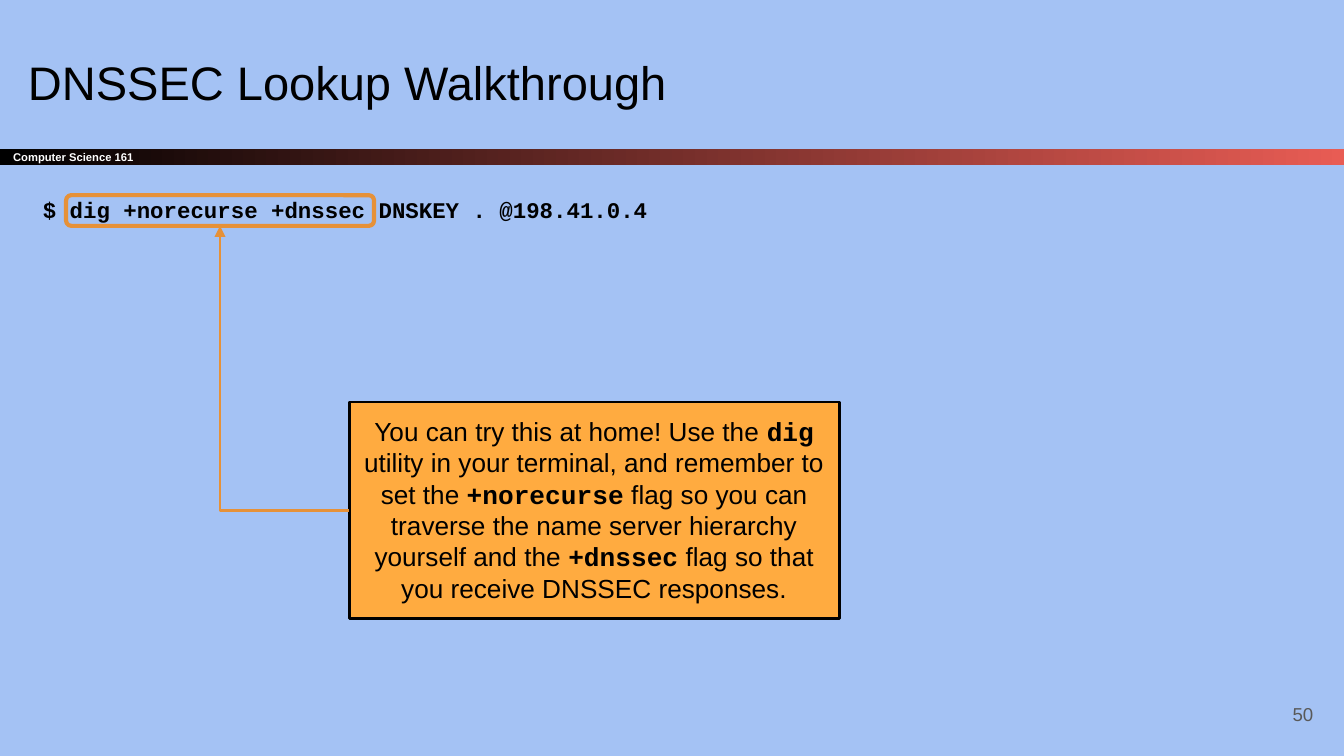
from lxml.etree import SubElement
from pptx import Presentation
from pptx.dml.color import RGBColor
from pptx.enum.shapes import MSO_CONNECTOR, MSO_SHAPE
from pptx.enum.text import MSO_ANCHOR, PP_ALIGN
from pptx.oxml.ns import qn
from pptx.util import Cm, Pt

COLORS = {
    "background": "A4C2F4",
    "black": "000000",
    "white": "FFFFFF",
    "red": "E85C54",
    "gray": "595959",
    "amber": "FFAB40",
    "orange": "E69138",
}
SANS, MONO = "Arial", "Courier New"
ADVICE = [
    ("You can try this at home! Use the ", False),
    ("dig", True),
    (" utility in your terminal, and remember to set the ", False),
    ("+norecurse", True),
    (" flag so you can traverse the name server hierarchy yourself and the ", False),
    ("+dnssec", True),
    (" flag so that you receive DNSSEC responses.", False),
]


def color(name):
    return RGBColor.from_string(COLORS[name])


def style_font(font, size, color_name, name=SANS, bold=False):
    font.size = Pt(size)
    font.name = name
    font.bold = bold
    font.color.rgb = color(color_name)


def prepare_frame(shape, anchor=MSO_ANCHOR.TOP):
    frame = shape.text_frame
    frame.word_wrap = True
    frame.vertical_anchor = anchor
    frame.margin_left = frame.margin_right = Cm(0.25)
    frame.margin_top = frame.margin_bottom = Cm(0.25)
    return frame


def write_text(shape, text, size, color_name, name=SANS, bold=False,
               align=PP_ALIGN.LEFT, anchor=MSO_ANCHOR.TOP):
    frame = prepare_frame(shape, anchor)
    frame.text = text
    paragraph = frame.paragraphs[0]
    paragraph.alignment = align
    style_font(paragraph.runs[0].font, size, color_name, name, bold)


def add_text(slide, box, text, size, color_name, **options):
    shape = slide.shapes.add_textbox(*map(Cm, box))
    write_text(shape, text, size, color_name, **options)


def add_box(slide, kind, box):
    shape = slide.shapes.add_shape(kind, *map(Cm, box))
    shape.shadow.inherit = False
    return shape


def outline(shape, color_name, width):
    shape.line.color.rgb = color(color_name)
    shape.line.width = Pt(width)


def add_course_bar(slide):
    bar = add_box(slide, MSO_SHAPE.RECTANGLE, (0, 2.82, 25.4, 0.3))
    bar.line.fill.background()
    bar.fill.gradient()
    bar.fill.gradient_angle = 0
    for stop, position, name in zip(bar.fill.gradient_stops, (0, 1), ("black", "red")):
        stop.position = position
        stop.color.rgb = color(name)
    write_text(bar, "Computer Science 161", 6, "white", bold=True,
               anchor=MSO_ANCHOR.MIDDLE)


def add_highlight(slide):
    highlight = add_box(slide, MSO_SHAPE.ROUNDED_RECTANGLE, (1.25, 3.69, 5.82, 0.58))
    highlight.adjustments[0] = 0.17
    highlight.fill.background()
    outline(highlight, "orange", 2.25)
    return highlight


def add_callout(slide):
    callout = add_box(slide, MSO_SHAPE.RECTANGLE, (6.6, 7.6, 9.26, 4.1))
    callout.fill.solid()
    callout.fill.fore_color.rgb = color("amber")
    outline(callout, "black", 1.5)
    paragraph = prepare_frame(callout).paragraphs[0]
    paragraph.alignment = PP_ALIGN.CENTER
    for text, is_code in ADVICE:
        run = paragraph.add_run()
        run.text = text
        style_font(run.font, 14, "black", MONO if is_code else SANS, is_code)
    return callout


def add_elbow_arrow(slide, source, target):
    connector = slide.shapes.add_connector(
        MSO_CONNECTOR.ELBOW,
        source.left, source.top + source.height // 2,
        target.left + target.width // 2, target.top + target.height)
    connector.begin_connect(source, 1)
    connector.end_connect(target, 2)
    outline(connector, "orange", 1.5)
    properties = connector._element.spPr
    properties.find(qn("a:prstGeom")).set("prst", "bentConnector2")
    SubElement(properties.find(qn("a:ln")), qn("a:tailEnd"), type="triangle")
    SubElement(properties, qn("a:effectLst"))


def main():
    """Build the DNSSEC lookup slide and save it."""
    presentation = Presentation()
    presentation.slide_width = Cm(25.4)
    presentation.slide_height = Cm(14.29)
    slide = presentation.slides.add_slide(presentation.slide_layouts[6])
    slide.background.fill.solid()
    slide.background.fill.fore_color.rgb = color("background")

    add_course_bar(slide)
    add_text(slide, (0.28, 0.76, 23.67, 1.6), "DNSSEC Lookup Walkthrough", 25.2, "black")
    add_text(slide, (0.56, 3.45, 14.27, 10.46),
             "$ dig +norecurse +dnssec DNSKEY . @198.41.0.4", 12, "black",
             name=MONO, bold=True)
    add_text(slide, (23.55, 12.95, 1.52, 1.09), "50", 10, "gray",
             align=PP_ALIGN.RIGHT, anchor=MSO_ANCHOR.MIDDLE)
    highlight = add_highlight(slide)
    callout = add_callout(slide)
    add_elbow_arrow(slide, callout, highlight)

    presentation.save("out.pptx")


if __name__ == "__main__":
    main()
